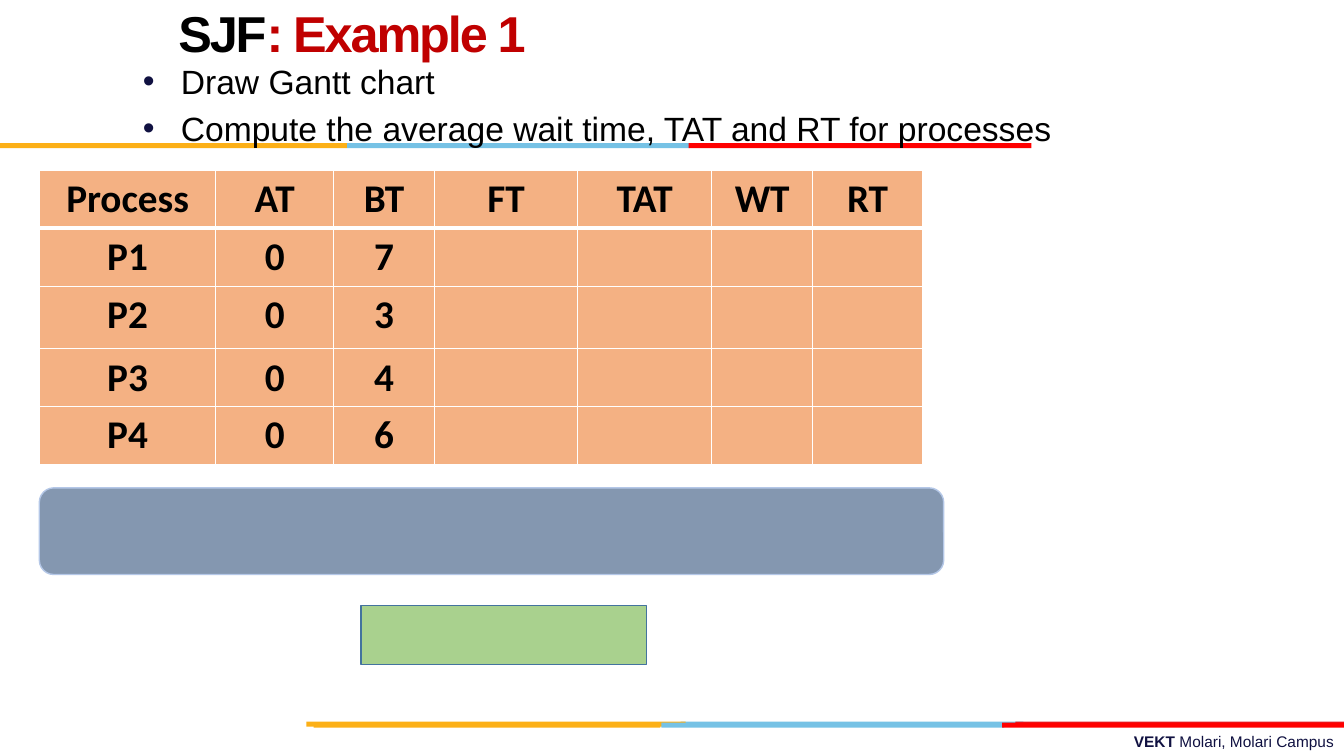
import pptx
import pptx.util
import pptx.dml.color
import pptx.enum.shapes
import pptx.enum.text
import pptx.oxml
import pptx.oxml.ns
import lxml.etree

Pt = pptx.util.Pt
Kind = pptx.enum.shapes.MSO_SHAPE
Align = pptx.enum.text.PP_ALIGN
Anchor = pptx.enum.text.MSO_ANCHOR

HUES = {
    "black": "000000", "white": "FFFFFF", "navy": "101141", "crimson": "C00000",
    "gold": "FCB017", "sky": "76C2E5", "red": "FF0000", "brick": "E31C24",
    "peach": "F4B183", "green": "A9D18E", "teal": "43739E",
    "slate": "8497B0", "pale": "B4C7E7",
}
FONTS = {
    "title": {"name": "Arial", "size": Pt(36), "bold": True},
    "body": {"name": "Arial", "size": Pt(24)},
    "foot": {"name": "Arial", "size": Pt(11), "bold": False},
    "cell": {"name": "Calibri", "size": Pt(28), "bold": True},
}


def color(hue):
    return pptx.dml.color.RGBColor.from_string(HUES[hue])


def dress(item, form):
    for key, value in form.items():
        setattr(item, key, value)


def add(parent, tag, **attrs):
    node = lxml.etree.SubElement(parent, pptx.oxml.ns.qn(tag))
    for key, value in attrs.items():
        node.set(key, str(value))
    return node


class Board:
    """Places elements on a grid of ten columns and ten rows to the inch."""
    unit = pptx.util.Inches(0.1)

    def __init__(self, slide):
        self.slide = slide

    def span(self, *cells):
        return [round(self.unit * cell) for cell in cells]

    def block(self, area, hue, edge=None, kind=Kind.RECTANGLE):
        shape = self.slide.shapes.add_shape(kind, *self.span(*area))
        shape.shadow.inherit = False
        shape.fill.solid()
        shape.fill.fore_color.rgb = color(hue)
        if edge:
            shape.line.color.rgb = color(edge)
            shape.line.width = Pt(1)
        else:
            shape.line.fill.background()

    def band(self, row, parts):
        for hue, left, width in parts:
            self.block((left, row, width, 0.5), hue)

    def run(self, para, words, font, hue, **form):
        run = para.add_run()
        run.text = words
        dress(run.font, {**FONTS[font], **form})
        run.font.color.rgb = color(hue)
        return run

    def text(self, area, **form):
        frame = self.slide.shapes.add_textbox(*self.span(*area)).text_frame
        dress(frame, {"word_wrap": True, **form})
        return frame

    def list(self, area, lines):
        frame = self.text(area)
        indent = self.span(3.75)[0]
        for index, line in enumerate(lines):
            para = frame.add_paragraph() if index else frame.paragraphs[0]
            para.space_before = Pt(4.8)
            props = para._p.get_or_add_pPr()
            props.set("marL", str(indent))
            props.set("indent", str(-indent))
            add(add(props, "a:buClr"), "a:srgbClr", val=HUES["navy"])
            add(props, "a:buFont", typeface="Arial")
            add(props, "a:buChar", char="•")
            self.run(para, line, "body", "black")

    def rule(self, cell, above, below):
        props = cell._tc.get_or_add_tcPr()
        sides = {"L": 1, "R": 1, "T": above, "B": below}
        for side, width in sides.items():
            line = add(props, "a:ln" + side, w=Pt(width))
            add(add(line, "a:solidFill"), "a:srgbClr", val=HUES["white"])

    def table(self, spot, wide, high, rows):
        area = self.span(*spot, sum(wide), sum(high))
        table = self.slide.shapes.add_table(len(high), len(wide), *area).table
        for col, width in zip(table.columns, self.span(*wide)):
            col.width = width
        for row, height in zip(table.rows, self.span(*high)):
            row.height = height
        for r, row in enumerate(table.rows):
            for c, cell in enumerate(row.cells):
                self.rule(cell, 3 if r == 1 else 1, 3 if r == 0 else 1)
                cell.fill.solid()
                cell.fill.fore_color.rgb = color("peach")
                if c < len(rows[r]):
                    para = cell.text_frame.paragraphs[0]
                    para.alignment = Align.CENTER
                    self.run(para, rows[r][c], "cell", "black")


deck = pptx.Presentation()
dress(deck, {"slide_width": pptx.util.Inches(13.33),
             "slide_height": pptx.util.Inches(7.5)})
board = Board(deck.slides.add_slide(deck.slide_layouts[6]))

# Footer
foot = board.text((47.8, 72.1, 85.5, 2.9)).paragraphs[0]
foot.alignment = Align.RIGHT
board.run(foot, "VEKT ", "foot", "navy", bold=True)
board.run(foot, "Molari, Molari Campus", "foot", "navy")

# Colour bands
board.band(71.6, [("sky", 67.5, 34), ("brick", 100.7, 32.6), ("gold", 30.4, 37.6)])
board.band(71.7, [("sky", 65.6, 34), ("gold", 31.1, 34.4), ("red", 99.4, 33.9)])
board.band(14.2, [("sky", 34.4, 34), ("gold", 0, 34.4), ("red", 68.3, 34)])

# Tasks
board.list((13.2, 5.5, 100, 49.5), [
    "Draw Gantt chart",
    "Compute the average wait time, TAT and RT for processes",
])

# Title
title = board.text((16.7, 0, 79.2, 7.5), vertical_anchor=Anchor.MIDDLE).paragraphs[0]
title.line_spacing = Pt(36)
for words, hue in [("SJF", "black"), (": Example 1", "crimson")]:
    run = board.run(title, words, "title", hue)
    run._r.get_or_add_rPr().set("spc", "-150")

# Process table
bursts = [7, 3, 4, 6]
heads = ["Process", "AT", "BT", "FT", "TAT", "WT", "RT"]
jobs = [[f"P{n}", "0", str(burst)] for n, burst in enumerate(bursts, 1)]
board.table((3.9, 16.9), [17.5, 11.7, 10, 14.2, 13.3, 10, 10.9],
            [5.75, 5.75, 6.2, 5.75, 5.75], [heads] + jobs)

# Empty answer boxes
board.block((35.8, 60.1, 28.3, 5.8), "green", "teal")
board.block((3.9, 48.4, 89.7, 8.6), "slate", "pale", Kind.ROUNDED_RECTANGLE)

deck.save("out.pptx")
